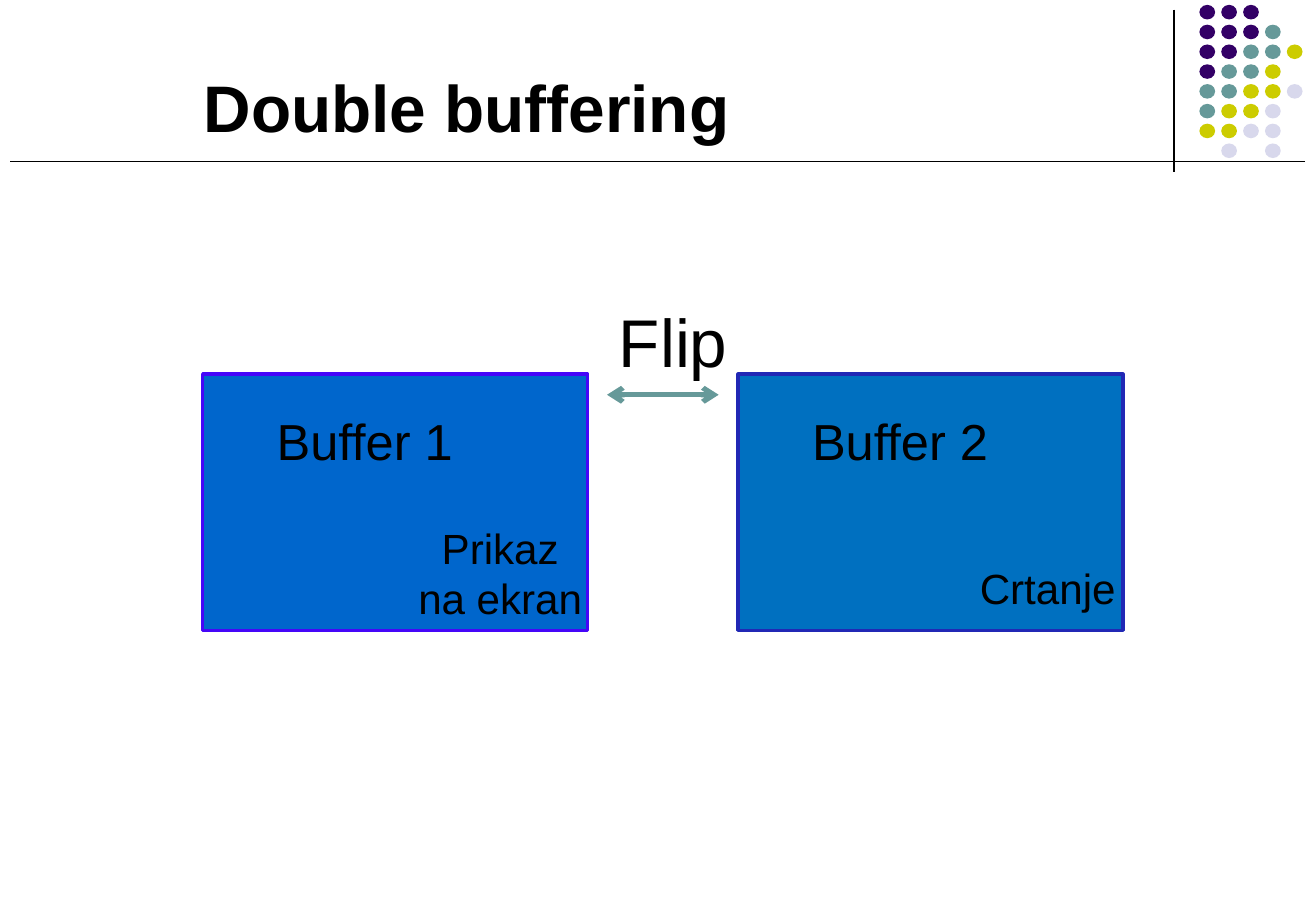
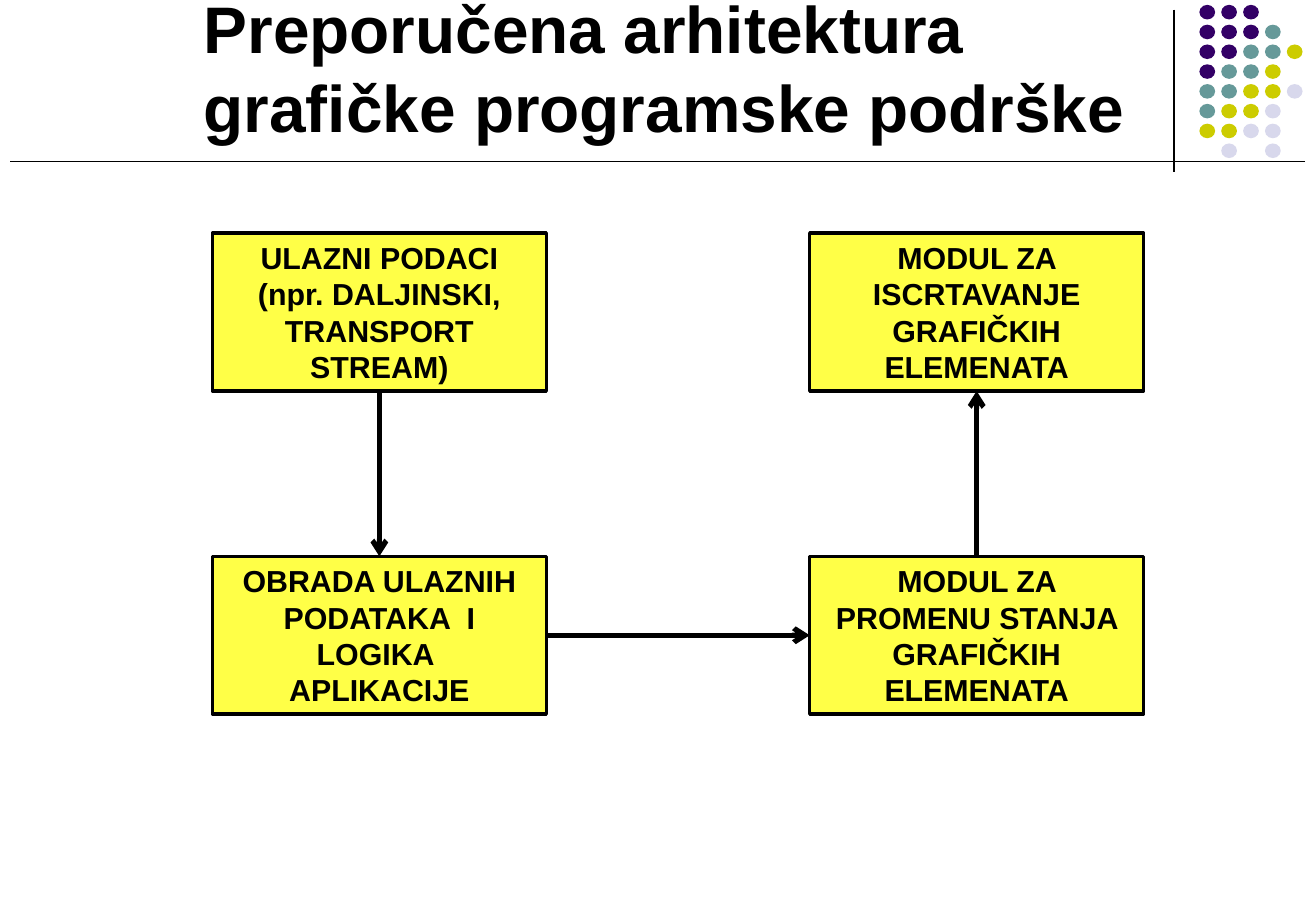
"""Builds two slides on double buffering and a graphics software architecture."""
from lxml import etree
from pptx import Presentation
from pptx.dml.color import RGBColor
from pptx.enum.shapes import MSO_CONNECTOR, MSO_SHAPE
from pptx.enum.text import MSO_ANCHOR, PP_ALIGN
from pptx.oxml.ns import qn
from pptx.util import Emu, Pt

RECTANGLE, OVAL = MSO_SHAPE.RECTANGLE, MSO_SHAPE.OVAL
STRAIGHT = MSO_CONNECTOR.STRAIGHT
LEFT, CENTER = PP_ALIGN.LEFT, PP_ALIGN.CENTER
TOP, BOTTOM = MSO_ANCHOR.TOP, MSO_ANCHOR.BOTTOM
TOP_SITE, LEFT_SITE, BOTTOM_SITE, RIGHT_SITE = range(4)

EMU_PER_PX = 9144
SLIDE_SIZE = (1084, 750)
FONT = "Arial"
BLACK, TEAL, YELLOW = "000000", "669999", "FFFF47"

TITLE_BOX = (158, 13, 790, 112)
RULES = [(967, 8, 967, 142), (1075, 133, 8, 133)]
DOT_COLORS = {"P": "330066", "T": TEAL, "Y": "CCCC00", "L": "D8D8EC"}
DOT_ROWS = ["PPP", "PPPT", "PPTTY", "PTTY", "TTYYL", "TYYL", "YYLL", " L L"]
DOT_ORIGIN, DOT_PITCH, DOT_SIZE = (988, 4), (18, 16.3), (13, 12)

BUFFER_TITLE = "Double buffering"
BUFFER_SIZE = (317, 211)
BUFFERS = [
    ("Buffer 1", 167, "0066CC", "4506F8"),
    ("Buffer 2", 608, "0070C0", "2128B5"),
]
BUFFER_TOP = 308
BUFFER_LABELS = [
    ("Crtanje", (792, 458, 142, 52), 25),
    ("Flip", (492, 242, 125, 77), 40),
    ("Prikaz na ekran", (333, 425, 158, 94), 25),
]
FLIP_ARROW = (500, 325, 592, 325)

MODULE_TITLE = "Preporučena arhitektura grafičke programske podrške"
MODULE_COLUMNS, MODULE_ROWS, MODULE_SIZE = (175, 667), (192, 458), (275, 130)
MODULES = {
    "input": ("ULAZNI PODACI (npr. DALJINSKI, TRANSPORT STREAM)", 0, 0),
    "logic": ("OBRADA ULAZNIH PODATAKA  I LOGIKA  APLIKACIJE", 0, 1),
    "state": ("MODUL ZA PROMENU STANJA GRAFIČKIH ELEMENATA", 1, 1),
    "drawing": ("MODUL ZA ISCRTAVANJE GRAFIČKIH ELEMENATA", 1, 0),
}
MODULE_FLOW = [
    ("input", BOTTOM_SITE, "logic", TOP_SITE),
    ("logic", RIGHT_SITE, "state", LEFT_SITE),
    ("state", TOP_SITE, "drawing", BOTTOM_SITE),
]


def px(*lengths):
    return [Emu(round(length * EMU_PER_PX)) for length in lengths]


def color(hex_code):
    return RGBColor.from_string(hex_code)


def set_text(shape, text, size, bold=False, align=CENTER, anchor=TOP):
    frame = shape.text_frame
    frame.word_wrap = True
    frame.vertical_anchor = anchor
    paragraph = frame.paragraphs[0]
    paragraph.text = text
    paragraph.alignment = align
    font = paragraph.font
    font.name, font.size, font.bold = FONT, Pt(size), bold
    font.color.rgb = color(BLACK)


def add_label(slide, box, text, size, **style):
    set_text(slide.shapes.add_textbox(*px(*box)), text, size, **style)


def add_figure(parent, kind, box, fill, line=None):
    shape = parent.shapes.add_shape(kind, *px(*box))
    shape.shadow.inherit = False
    shape.fill.solid()
    shape.fill.fore_color.rgb = color(fill)
    if line:
        shape.line.color.rgb = color(line)
        shape.line.width = Pt(2)
    else:
        shape.line.fill.background()
    return shape


def add_line(slide, ends, hex_code=BLACK, width=3, arrows=()):
    connector = slide.shapes.add_connector(STRAIGHT, *px(*ends))
    connector.line.color.rgb = color(hex_code)
    connector.line.width = Pt(width)
    line = connector.line._get_or_add_ln()
    for arrow in arrows:
        etree.SubElement(line, qn(f"a:{arrow}"), type="arrow")
    etree.SubElement(connector._element.spPr, qn("a:effectLst"))
    return connector


def add_slide(presentation, title):
    slide = presentation.slides.add_slide(presentation.slide_layouts[6])
    for ends in RULES:
        add_line(slide, ends, width=0.75)
    dots = slide.shapes.add_group_shape()
    for row, codes in enumerate(DOT_ROWS):
        for column, code in enumerate(codes):
            if code in DOT_COLORS:
                x = DOT_ORIGIN[0] + column * DOT_PITCH[0]
                y = DOT_ORIGIN[1] + row * DOT_PITCH[1]
                add_figure(dots, OVAL, (x, y, *DOT_SIZE), DOT_COLORS[code])
    add_label(slide, TITLE_BOX, title, 39, bold=True, align=LEFT, anchor=BOTTOM)
    return slide


def build_buffers(presentation):
    slide = add_slide(presentation, BUFFER_TITLE)
    for name, x, fill, line in BUFFERS:
        add_figure(slide, RECTANGLE, (x, BUFFER_TOP, *BUFFER_SIZE), fill, line)
        add_label(slide, (x + 25, BUFFER_TOP + 25, 217, 60), name, 30)
    add_line(slide, FLIP_ARROW, TEAL, arrows=("headEnd", "tailEnd"))
    for text, box, size in BUFFER_LABELS:
        add_label(slide, box, text, size)


def build_modules(presentation):
    slide = add_slide(presentation, MODULE_TITLE)
    boxes = {}
    for key, (text, column, row) in MODULES.items():
        box = (MODULE_COLUMNS[column], MODULE_ROWS[row], *MODULE_SIZE)
        boxes[key] = add_figure(slide, RECTANGLE, box, YELLOW, BLACK)
        set_text(boxes[key], text, 18, bold=True)
    for source, source_site, target, target_site in MODULE_FLOW:
        arrow = add_line(slide, (0, 0, 0, 0), arrows=("tailEnd",))
        arrow.begin_connect(boxes[source], source_site)
        arrow.end_connect(boxes[target], target_site)


def main():
    presentation = Presentation()
    presentation.slide_width, presentation.slide_height = px(*SLIDE_SIZE)
    build_buffers(presentation)
    build_modules(presentation)
    presentation.save("out.pptx")


if __name__ == "__main__":
    main()
